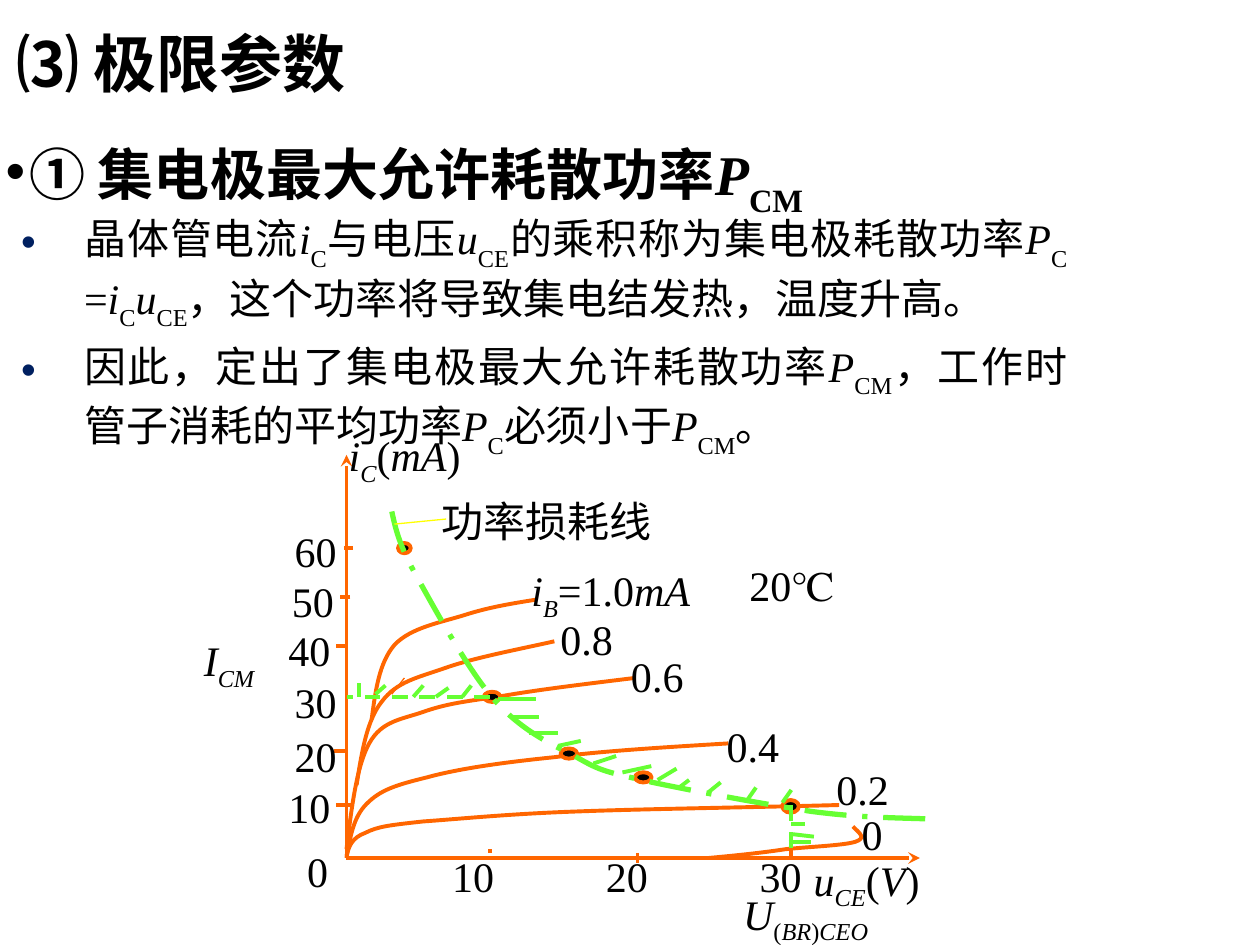
from dataclasses import dataclass
from lxml.etree import SubElement
from pptx import Presentation
from pptx.dml.color import RGBColor
from pptx.enum.dml import MSO_LINE
from pptx.enum.shapes import MSO_CONNECTOR, MSO_SHAPE
from pptx.enum.text import MSO_ANCHOR, MSO_AUTO_SIZE, PP_ALIGN
from pptx.oxml.ns import qn
from pptx.util import Pt

SERIF, SANS = "Times New Roman", "Noto Sans CJK SC"
BLACK, ORANGE, GREEN, YELLOW, NAVY = "000000", "FF6600", "66FF33", "FFFF00", "002060"

@dataclass
class Run:
    """A piece of text with its slant, baseline shift and font."""
    text: str
    italic: bool = False
    base: int = 0
    font: str = SERIF

@dataclass
class Label:
    """Runs placed in a box of the diagram."""
    x: float
    y: float
    w: float
    runs: list[Run]

@dataclass
class Stroke:
    """A straight line with its look."""
    x1: float
    y1: float
    x2: float
    y2: float
    color: str = ORANGE
    width: float = 2.25
    dash: MSO_LINE | None = None
    arrow: bool = False

def rgb(value: str) -> RGBColor:
    """Turn a hex string into a colour."""
    return RGBColor.from_string(value)

def var(text: str, sub: str = "", base: int = -30, slant: bool = False) -> list[Run]:
    """Return an italic symbol with its subscript."""
    return [Run(text, True), Run(sub, slant, base)]

def cjk(text: str) -> Run:
    """Return a run of Chinese body text."""
    return Run(text, font=SANS)

def add_text(p, text: str, *, size: float = 24, font: str = SERIF, bold: bool = False,
             italic: bool = False, base: int = 0) -> None:
    """Append a formatted run to a paragraph."""
    r = p.add_run()
    r.text = text
    f = r.font
    f.size, f.name, f.bold, f.italic = Pt(size), font, bold, italic
    f.color.rgb = rgb(BLACK)
    rPr = r._r.get_or_add_rPr()
    SubElement(rPr, qn("a:ea")).set("typeface", SANS)
    if base:
        rPr.set("baseline", str(base * 1000))

def add_runs(p, runs: list[Run], size: float = 24, bold: bool = False) -> None:
    """Append a justified series of runs."""
    p.alignment = PP_ALIGN.JUSTIFY
    for run in runs:
        add_text(p, run.text, size=size, font=run.font, bold=bold, italic=run.italic, base=run.base)

def set_bullet(p, indent: float, color: str) -> None:
    """Give a paragraph a hanging round bullet."""
    pPr = p._p.get_or_add_pPr()
    pPr.set("marL", str(Pt(indent)))
    pPr.set("indent", str(-Pt(indent)))
    SubElement(SubElement(pPr, qn("a:buClr")), qn("a:srgbClr")).set("val", color)
    SubElement(pPr, qn("a:buFont")).set("typeface", "Arial")
    SubElement(pPr, qn("a:buChar")).set("char", "•")

def add_box(shapes, x: float, y: float, w: float, h: float):
    """Add a wrapping text box and return its frame."""
    tf = shapes.add_textbox(Pt(x), Pt(y), Pt(w), Pt(h)).text_frame
    tf.word_wrap = True
    return tf

def set_line(sp, color: str = ORANGE, width: float = 2.25, dash: MSO_LINE | None = None) -> None:
    """Format the line of a shape."""
    sp.line.color.rgb, sp.line.width = rgb(color), Pt(width)
    if dash:
        sp.line.dash_style = dash

def add_stroke(shapes, s: Stroke) -> None:
    """Draw a straight line."""
    sp = shapes.add_connector(MSO_CONNECTOR.STRAIGHT, Pt(s.x1), Pt(s.y1), Pt(s.x2), Pt(s.y2))
    set_line(sp, s.color, s.width, s.dash)
    if s.arrow:
        SubElement(sp.line._get_or_add_ln(), qn("a:tailEnd")).set("type", "stealth")
    SubElement(sp._element.spPr, qn("a:effectLst"))

def add_curve(shapes, points: list[tuple], **look) -> None:
    """Draw a chain of cubic curves from a start and control points."""
    start, *rest = [(Pt(x), Pt(y)) for x, y in points]
    fb = shapes.build_freeform(*start)
    sp = fb.add_line_segments(rest, close=False).convert_to_shape()
    outline = sp._element.xpath(".//a:path")[0]
    lines = outline.findall(qn("a:lnTo"))
    for i in range(0, len(lines), 3):
        cubic = SubElement(outline, qn("a:cubicBezTo"))
        for ln in lines[i:i + 3]:
            cubic.append(ln[0])
            outline.remove(ln)
    sp.shadow.inherit = False
    sp.fill.background()
    set_line(sp, **look)

def add_dot(shapes, x: float, y: float, w: float = 9.4, h: float = 5.8) -> None:
    """Draw a working point around its centre."""
    sp = shapes.add_shape(MSO_SHAPE.OVAL, Pt(x - w / 2), Pt(y - h / 2), Pt(w), Pt(h))
    sp.shadow.inherit = False
    sp.fill.solid()
    sp.fill.fore_color.rgb = rgb(BLACK)
    set_line(sp)

CURVES = [
    [(198, 489), (199.4, 483.8), (200.9, 478.8), (208.8, 475.9), (216, 472.3), (221.8, 471.6), (241.9, 469.4),
     (262.1, 468), (290.2, 465.1), (329.8, 463.7), (369.4, 462.2), (424.8, 461.5), (479.5, 460)],
    [(198, 490.3), (200.2, 478.8), (201.6, 467.3), (209.5, 459.4), (217.4, 451.4), (226.1, 448.6), (244.1, 444.2),
     (262.1, 439.2), (288, 435.6), (316.8, 432.7), (344.9, 429.1), (380.2, 427), (416.2, 424.8)],
    [(198, 485.3), (200.9, 461.5), (203.8, 437.8), (211, 424.8), (218.2, 411.8), (229.7, 411.1), (241.9, 406.8),
     (254.2, 402.5), (264.2, 401), (284.4, 398.2), (303.8, 394.6), (333.4, 391), (362.9, 387.4)],
    [(203.8, 448.6), (206.6, 430.6), (209.5, 411.8), (218.2, 401), (226.8, 389.5), (238.3, 387.4), (254.9, 381.6),
     (271.4, 375.8), (294.5, 371.5), (316.8, 366.5)],
    [(212.4, 411.1), (214.6, 394.6), (216.7, 378.7), (225.4, 368.6), (234.7, 358.6), (252, 355.7), (265.7, 351.4),
     (279.4, 347), (292.3, 344.9), (306, 342.7)],
    [(404.6, 490.3), (419.8, 488.9), (434.9, 487.4), (448.6, 485.3), (463, 483.8), (482.4, 483.1), (488.9, 481),
     (495.4, 478.8), (491, 475.9), (487.4, 472.3)]]
POWER = [(223.9, 292.3), (226.1, 302.4), (228.2, 311.8), (238.3, 329.8), (248.4, 347.8), (267.1, 382.3),
         (282.2, 399.6), (297.4, 416.9), (313.9, 424.8), (328.3, 432), (342, 439.9), (344.2, 440.6), (366.5, 445.7),
         (388.8, 450.7), (435.6, 459.4), (463.7, 463.7), (491, 467.3), (511.2, 467.3), (531.4, 468)]
AXES = [Stroke(200, 490.3, 525.6, 490.3, arrow=True), Stroke(198, 490, 198, 260, arrow=True)]
TICKS = [Stroke(411.8, 490.3, 198, 490.3), Stroke(280, 485.3, 280, 489, dash=MSO_LINE.ROUND_DOT),
         Stroke(364.3, 487.4, 364.3, 493.2), Stroke(452.2, 481, 452.2, 490.3), Stroke(201.6, 460, 192.2, 460),
         Stroke(198, 429, 190.8, 429), Stroke(198, 369.4, 192.2, 369.4), Stroke(200.2, 341.3, 194.4, 341.3),
         Stroke(196.6, 313.2, 201.6, 313.2)]
LIMITS = [Stroke(280, 398.2, 198, 398.2, GREEN, dash=MSO_LINE.DASH),
          Stroke(452.2, 460, 452.2, 487.4, GREEN, dash=MSO_LINE.DASH),
          Stroke(225.4, 299.5, 254.9, 296.6, YELLOW, 0.75), Stroke(223.9, 396.7, 231.1, 387.4, ORANGE, 0.75)]
HATCHES = [(205.2, 398.2, 205.2, 390.2), (214.6, 396.7, 220.3, 391.7), (236.2, 398.2, 241.9, 391.7),
           (249.1, 398.2, 256.3, 393.1), (264.2, 398.2, 269.3, 391.7), (284.4, 399.6, 306, 399.6),
           (291.6, 409.7, 308.2, 409.7), (302.4, 419, 319, 419), (319, 426.2, 331.9, 423.4),
           (339.1, 436.3, 352.1, 432), (355.7, 441.4, 372.2, 437.8), (375.8, 445.7, 386.6, 439.2),
           (388.1, 450, 393.8, 445.7), (404.6, 452.9, 411.8, 447.1), (427, 457.2, 432, 450),
           (447.1, 458.6, 452.2, 451.4), (452.2, 470.9, 460.1, 470.9), (452.2, 476.6, 465.1, 478.1),
           (450.7, 481, 463.7, 481)]
DOTS = [(367.6, 444.2), (325.1, 430.6), (281.2, 398.2), (231.1, 313.2, 7.2), (451.8, 460.8, 9.4, 7.2)]
NUMBERS = [("0.8", 313.2, 347), ("0.6", 353.5, 367.9), ("0.4", 408.2, 408.2), ("0.2", 470.9, 432.7),
           ("0", 485.3, 458.6), ("10", 251.3, 482.4), ("20", 339.1, 482.4), ("30", 427, 482.4), ("0", 168.5, 479.5),
           ("10", 157.7, 442.8), ("20", 161.3, 414), ("30", 161.3, 383), ("40", 157.7, 353.5), ("50", 159.8, 325.4),
           ("60", 161.3, 296.6), ("20℃", 421.2, 316.1)]
LABELS = [Label(x, y, 75, [Run(text)]) for text, x, y in NUMBERS] + [
    Label(457.9, 484.6, 123, [*var("u", "CE", -25, True), Run("("), Run("V", True), Run(")")]),
    Label(192.2, 241.9, 130, [*var("i", "C", -25, True), Run("("), Run("mA", True), Run(")")]),
    Label(296.6, 319, 119, [*var("i", "B", -25, True), Run("=1.0"), Run("mA", True)]),
    Label(417.6, 504, 139, [*var("U", "(", -25), Run("BR", True, -25), Run(")", base=-25), Run("CEO", True, -25)]),
    Label(109.4, 359.3, 91, var("I", "CM", -25, True)), Label(245.5, 279.4, 174, [Run("功率损耗线")])]
POINTS = [
    [cjk("晶体管电流"), *var("i", "C"), cjk("与电压"), *var("u", "CE"), cjk("的乘积称为集电极耗散功率"),
     *var("P", "C"), Run(" ="), *var("i", "C"), *var("u", "CE"), cjk("，这个功率将导致集电结发热，温度升高。")],
    [cjk("因此，定出了集电极最大允许耗散功率"), *var("P", "CM"), cjk("，工作时管子消耗的平均功率"),
     *var("P", "C"), cjk("必须小于"), *var("P", "CM"), cjk("。")]]

def main() -> None:
    """Build the slide and save it."""
    prs = Presentation()
    prs.slide_width, prs.slide_height = Pt(720), Pt(540)
    s = prs.slides.add_slide(prs.slide_layouts[1])
    title, body = s.placeholders
    for sp, box in ((title, (2, -2, 621, 81)), (body, (-4, 76, 612, 50))):
        sp.left, sp.top, sp.width, sp.height = map(Pt, box)
        sp.text_frame.auto_size = MSO_AUTO_SIZE.NONE
        p = sp.text_frame.paragraphs[0]
        p.line_spacing, p.space_before, p.alignment = 0.9, Pt(0), PP_ALIGN.LEFT
    title.text_frame.vertical_anchor = MSO_ANCHOR.MIDDLE
    add_text(title.text_frame.paragraphs[0], "⑶ 极限参数", size=36, bold=True)
    set_bullet(p, 13.5, BLACK)
    add_runs(p, [Run("① 集电极最大允许耗散功率"), *var("P", "CM")], size=32, bold=True)
    tf = add_box(s.shapes, 5, 118, 612, 250)
    for i, runs in enumerate(POINTS):
        p = tf.add_paragraph() if i else tf.paragraphs[0]
        p.space_before = Pt(4.8 * i)
        set_bullet(p, 36, NAVY)
        add_runs(p, runs)
    shapes = s.shapes.add_group_shape().shapes
    for points in CURVES:
        add_curve(shapes, points)
    for stroke in AXES + TICKS:
        add_stroke(shapes, stroke)
    for dot in DOTS:
        add_dot(shapes, *dot)
    add_curve(shapes, POWER, color=GREEN, width=3, dash=MSO_LINE.LONG_DASH_DOT)
    for label in LABELS:
        add_runs(add_box(shapes, label.x, label.y, label.w, 40).paragraphs[0], label.runs)
    for stroke in LIMITS + [Stroke(*ends, GREEN) for ends in HATCHES]:
        add_stroke(shapes, stroke)
    prs.save("out.pptx")

if __name__ == "__main__":
    main()
